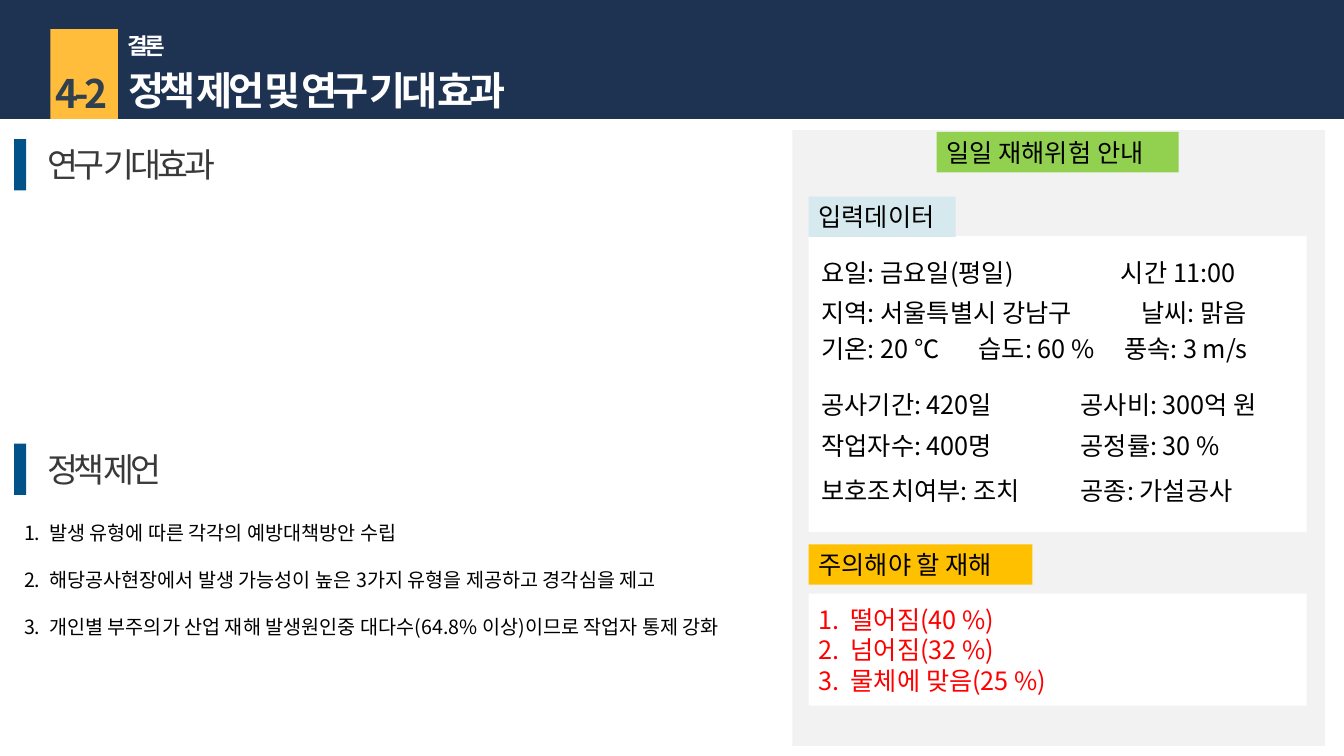
import pptx
import pptx.dml.color
import pptx.enum.shapes
import pptx.enum.text
import pptx.oxml
import pptx.oxml.ns
import pptx.util
from pptx.util import Inches

ALIGN = pptx.enum.text.PP_ALIGN
ANCHOR = pptx.enum.text.MSO_ANCHOR
NAVY, BLUE, AMBER = "1E3252", "005289", "FFBD3B"
WHITE, BLACK, RED = "FFFFFF", "000000", "FF0000"


def rgb(hex_code):
    return pptx.dml.color.RGBColor.from_string(hex_code)


def write(frame, text, size=18, color=BLACK, bold=False, align=ALIGN.LEFT,
          anchor=ANCHOR.TOP, spacing=0, indent=0, gap=0):
    """Fill a frame, one paragraph a line; an indent numbers the lines, gap and spacing are points."""
    frame.word_wrap = True
    frame.vertical_anchor = anchor
    frame.margin_left = frame.margin_right = Inches(0.1)
    frame.margin_top = frame.margin_bottom = Inches(0.05)
    frame.text = text
    for paragraph in frame.paragraphs:
        paragraph.alignment = align
        paragraph.space_before = pptx.util.Pt(0)
        paragraph.space_after = pptx.util.Pt(gap)
        if indent:
            properties = paragraph._p.get_or_add_pPr()
            properties.set("marL", str(Inches(indent)))
            properties.set("indent", str(-Inches(indent)))
            numbering = pptx.oxml.parse_xml(
                f'<a:buAutoNum {pptx.oxml.ns.nsdecls("a")} type="arabicPeriod"/>')
            properties.append(numbering)
        for run in paragraph.runs:
            font = run.font
            font.name, font.size, font.bold = Deck.font, pptx.util.Pt(size), bold
            font.color.rgb = rgb(color)
            run_properties = run._r.get_or_add_rPr()
            run_properties.set("spc", str(spacing * 100))
            east_asian = pptx.oxml.parse_xml(
                f'<a:ea {pptx.oxml.ns.nsdecls("a")} typeface="{Deck.font}"/>')
            run_properties.append(east_asian)


class Deck:
    font = "Noto Sans CJK KR"

    def __init__(self):
        self.presentation = pptx.Presentation()
        self.presentation.slide_width = Inches(13.33)
        self.presentation.slide_height = Inches(7.5)
        self.slide = self.presentation.slides.add_slide(self.presentation.slide_layouts[5])

    def box(self, left, top, width, height, fill, text="", **style):
        shape = self.slide.shapes.add_shape(
            pptx.enum.shapes.MSO_SHAPE.RECTANGLE,
            Inches(left), Inches(top), Inches(width), Inches(height))
        shape.shadow.inherit = False
        shape.fill.solid()
        shape.fill.fore_color.rgb = rgb(fill)
        shape.line.fill.background()
        if text:
            write(shape.text_frame, text, **style)

    def text(self, left, top, width, height, text, **style):
        area = self.slide.shapes.add_textbox(
            Inches(left), Inches(top), Inches(width), Inches(height))
        write(area.text_frame, text, **style)

    def title(self, left, top, width, height, text, **style):
        """Place the title in front of everything drawn so far."""
        title = self.slide.shapes.title
        title.left, title.top = Inches(left), Inches(top)
        title.width, title.height = Inches(width), Inches(height)
        write(title.text_frame, text, **style)
        title.element.getparent().append(title.element)

    def section(self, top, heading):
        self.box(0.14, top, 0.12, 0.51, BLUE)
        self.text(0.37, top, 3, 0.5, heading, size=24, color="393939", spacing=-3)

    def readings(self, top, *columns):
        """Lay out one row of (left, text) columns, each reaching to the next."""
        edges = [left for left, _ in columns[1:]] + [12.96]
        for (left, reading), right in zip(columns, edges):
            self.text(left, top, right - left, 0.4, reading)


def main():
    deck = Deck()

    deck.box(0, 0, 13.33, 1.18, NAVY)
    deck.box(0.5, 0.29, 0.67, 0.89, AMBER)
    heading = dict(color=WHITE, bold=True, spacing=-3)
    deck.title(1.17, 0.61, 7.66, 0.57, "정책 제언 및 연구 기대 효과", size=28, **heading)
    deck.text(1.17, 0.27, 5.5, 0.37, "결론", size=16, **heading)
    deck.text(0.38, 0.64, 0.86, 0.57, "4-2", size=28, color="30404F", bold=True,
              spacing=-3, align=ALIGN.CENTER)

    deck.section(1.38, "연구 기대효과")
    deck.section(4.4, "정책 제언")
    proposals = [
        "발생 유형에 따른 각각의 예방대책방안 수립",
        "해당공사현장에서 발생 가능성이 높은 3가지 유형을 제공하고 경각심을 제고",
        "개인별 부주의가 산업 재해 발생원인중 대다수(64.8% 이상)이므로 작업자 통제 강화",
    ]
    deck.text(0.14, 5.12, 7.76, 1.51, "\n".join(proposals), size=14, indent=0.25, gap=16.8)

    deck.box(7.86, 1.29, 5.28, 6.11, "F2F2F2")
    deck.box(9.29, 1.31, 2.4, 0.4, "92D050", "일일 재해위험 안내")

    deck.box(8.02, 2.34, 4.94, 1.48, WHITE)
    deck.box(8.02, 3.81, 4.94, 1.47, WHITE)
    deck.box(8.02, 1.95, 1.46, 0.4, "D6E9EE", "입력데이터")
    first, second = 8.05, 10.62
    deck.readings(2.5, (first, "요일: 금요일(평일)"), (11.02, "시간 11:00"))
    deck.readings(2.9, (first, "지역: 서울특별시 강남구"), (11.22, "날씨: 맑음"))
    deck.readings(3.26, (first, "기온: 20 ℃"), (9.61, "습도: 60 %"), (11.05, "풍속: 3 m/s"))
    deck.readings(3.81, (first, "공사기간: 420일"), (second, "공사비: 300억 원"))
    deck.readings(4.22, (first, "작업자수: 400명"), (second, "공정률: 30 %"))
    deck.readings(4.67, (first, "보호조치여부: 조치"), (second, "공종: 가설공사"))

    deck.box(8.02, 5.4, 2.22, 0.4, "FFC000", "주의해야 할 재해")
    hazards = ["떨어짐(40 %)", "넘어짐(32 %)", "물체에 맞음(25 %)"]
    deck.box(8.02, 5.89, 4.94, 1.11, WHITE, "\n".join(hazards), color=RED,
             anchor=ANCHOR.MIDDLE, indent=0.32)

    deck.presentation.save("out.pptx")


if __name__ == "__main__":
    main()
